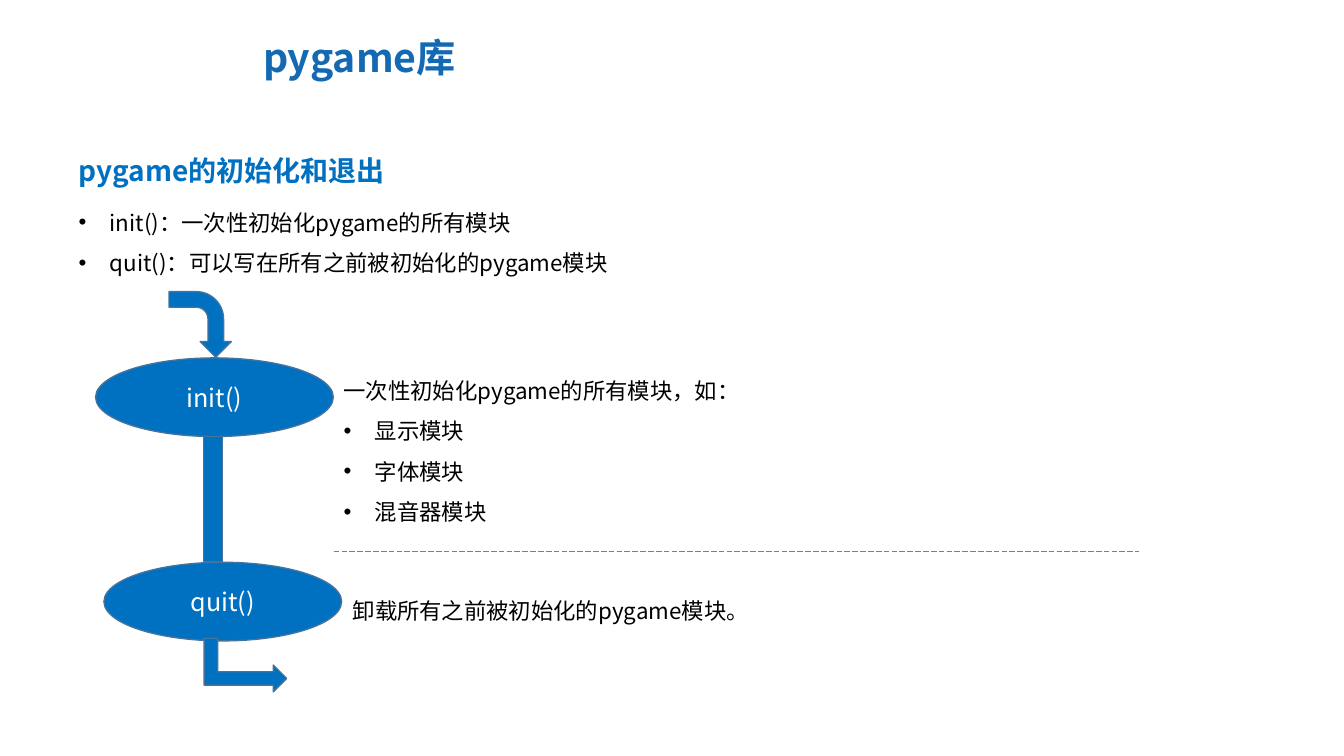
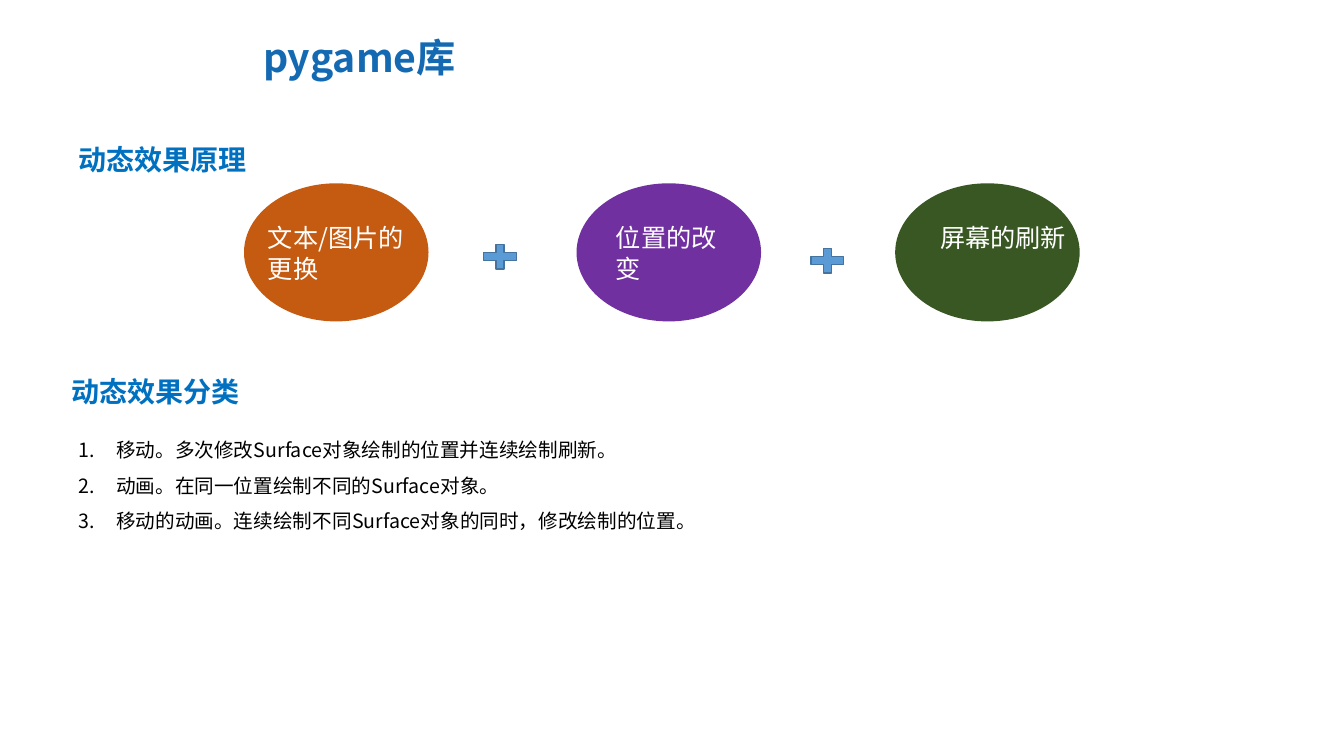
from lxml.etree import SubElement
from pptx import Presentation
from pptx.dml.color import RGBColor
from pptx.enum.dml import MSO_LINE
from pptx.enum.lang import MSO_LANGUAGE_ID
from pptx.enum.shapes import MSO_CONNECTOR, MSO_SHAPE
from pptx.enum.text import MSO_ANCHOR, MSO_AUTO_SIZE, PP_ALIGN
from pptx.oxml.ns import qn
from pptx.util import Cm, Pt

FONT = "Noto Sans CJK SC"
TITLE_BLUE = RGBColor(0x13, 0x69, 0xB2)
BLUE = RGBColor(0x00, 0x70, 0xC0)
PALE_BLUE = RGBColor(0x5B, 0x9B, 0xD5)
EDGE = RGBColor(0x43, 0x73, 0x9E)
GREY = RGBColor(0x7F, 0x7F, 0x7F)
ORANGE = RGBColor(0xC5, 0x5A, 0x11)
PURPLE = RGBColor(0x70, 0x30, 0xA0)
GREEN = RGBColor(0x38, 0x57, 0x23)
BLACK = RGBColor(0, 0, 0)
WHITE = RGBColor(255, 255, 255)


class Deck:
    """Slides in one style, with a method for each kind of element."""

    STYLES = {
        "title": {"size": 28, "bold": True, "color": TITLE_BLUE, "spacing": 0.9},
        "heading": {"size": 20, "bold": True, "color": BLUE, "spacing": 1.5},
        "body": {"size": 16, "color": BLACK, "spacing": 1.5},
        "list": {"size": 14, "color": BLACK, "spacing": 1.5},
        "label": {"size": 18, "color": WHITE, "spacing": 1.0},
    }
    MARKERS = {
        "bullet": (0.79, "a:buChar", {"char": "•"}),
        "number": (0.95, "a:buAutoNum", {"type": "arabicPeriod"}),
    }

    def __init__(self):
        self.prs = Presentation()
        self.prs.slide_width, self.prs.slide_height = Cm(33.87), Cm(19.05)
        self.s = None

    def slide(self, title):
        self.s = self.prs.slides.add_slide(self.prs.slide_layouts[5])
        sp = self.s.shapes.title
        place = {"left": 6.15, "top": 0.43, "width": 17.48, "height": 2.16}
        for name, value in place.items():
            setattr(sp, name, Cm(value))
        tf = sp.text_frame
        tf.auto_size = MSO_AUTO_SIZE.NONE
        tf.margin_left = Cm(0.48)
        self.fill_text(tf, [title], "title", anchor=MSO_ANCHOR.MIDDLE)

    def fill_text(self, tf, lines, style, align=PP_ALIGN.LEFT, anchor=MSO_ANCHOR.TOP):
        tf.word_wrap = True
        tf.vertical_anchor = anchor
        look = self.STYLES[style]
        for i, line in enumerate(lines):
            text, marker = line if isinstance(line, tuple) else (line, None)
            p = tf.add_paragraph() if i else tf.paragraphs[0]
            p.alignment, p.line_spacing = align, look["spacing"]
            r = p.add_run()
            r.text = text
            font = {"name": FONT, "size": Pt(look["size"]), "bold": look.get("bold", False),
                    "language_id": MSO_LANGUAGE_ID.SIMPLIFIED_CHINESE}
            for name, value in font.items():
                setattr(r.font, name, value)
            r.font.color.rgb = look["color"]
            SubElement(r.font._element, qn("a:ea"), typeface=FONT)
            if marker:
                self.mark(p, marker)

    def mark(self, p, marker):
        indent, tag, attrs = self.MARKERS[marker]
        pPr = p._p.get_or_add_pPr()
        pPr.set("marL", str(Cm(indent)))
        pPr.set("indent", str(-Cm(indent)))
        SubElement(pPr, qn("a:buFont"), typeface="Arial")
        SubElement(pPr, qn(tag), **attrs)

    def text(self, box, lines, style="body"):
        sp = self.s.shapes.add_textbox(*map(Cm, box))
        self.fill_text(sp.text_frame, lines, style)

    def shape(self, kind, box, fill=BLUE, edge=EDGE, label=None, rotation=0):
        sp = self.s.shapes.add_shape(kind, *map(Cm, box))
        sp.shadow.inherit = False
        sp.rotation = rotation
        sp.fill.solid()
        sp.fill.fore_color.rgb = fill
        if edge is None:
            sp.line.fill.background()
        else:
            sp.line.color.rgb, sp.line.width = edge, Pt(1)
        if label:
            self.fill_text(sp.text_frame, [label], "label", PP_ALIGN.CENTER, MSO_ANCHOR.MIDDLE)

    def divider(self, left, right, y):
        ln = self.s.shapes.add_connector(MSO_CONNECTOR.STRAIGHT, *map(Cm, (left, y, right, y)))
        look = {"width": Pt(0.5), "dash_style": MSO_LINE.LONG_DASH}
        for name, value in look.items():
            setattr(ln.line, name, value)
        ln.line.color.rgb = GREY
        SubElement(ln._element.spPr, qn("a:effectLst"))


def lifecycle_slide(deck):
    deck.slide("pygame库")
    deck.text((1.73, 3.33, 18.42, 1.55), ["pygame的初始化和退出"], "heading")
    deck.text((1.73, 4.8, 30.4, 2.31), [
        ("init()：一次性初始化pygame的所有模块", "bullet"),
        ("quit()：可以写在所有之前被初始化的pygame模块", "bullet"),
    ])
    deck.shape(MSO_SHAPE.BENT_ARROW, (4.22, 7.39, 1.65, 1.57), rotation=90)
    for label, left, top in (("init()", 2.41, 9.02), ("quit()", 2.62, 14.17)):
        deck.shape(MSO_SHAPE.OVAL, (left, top, 5.99, 1.98), label=label)
    deck.shape(MSO_SHAPE.FLOWCHART_PROCESS, (5.13, 11, 0.48, 3.15))
    deck.shape(MSO_SHAPE.BENT_UP_ARROW, (5.51, 15.72, 1.35, 2.08), rotation=90)
    modules = [(name, "bullet") for name in ("显示模块", "字体模块", "混音器模块")]
    deck.text((8.41, 9.04, 21.18, 4.37), ["一次性初始化pygame的所有模块，如：", *modules])
    deck.text((8.64, 14.58, 14.38, 1.27), ["卸载所有之前被初始化的pygame模块。"])
    deck.divider(8.41, 28.7, 13.89)


def animation_slide(deck):
    deck.slide("pygame库")
    deck.text((1.73, 3.05, 13.18, 1.55), ["动态效果原理"], "heading")
    deck.text((1.55, 8.89, 15.77, 1.55), ["动态效果分类"], "heading")
    factors = (
        ("文本/图片的更换", ORANGE, 6.15, 6.5, 4.32),
        ("位置的改变", PURPLE, 14.53, 15.27, 3.45),
        ("屏幕的刷新", GREEN, 22.56, 23.44, 3.78),
    )
    for label, color, left, label_left, label_width in factors:
        deck.shape(MSO_SHAPE.OVAL, (left, 4.62, 4.65, 3.48), color, edge=None)
        deck.text((label_left, 5.49, label_width, 1.8), [label], "label")
    for left, top in ((12.04, 6.05), (20.29, 6.15)):
        deck.shape(MSO_SHAPE.MATH_PLUS, (left, top, 1.12, 0.84), PALE_BLUE)
    kinds = (
        "移动。多次修改Surface对象绘制的位置并连续绘制刷新。",
        "动画。在同一位置绘制不同的Surface对象。",
        "移动的动画。连续绘制不同Surface对象的同时，修改绘制的位置。",
    )
    deck.text((1.73, 10.62, 30.4, 2.95), [(kind, "number") for kind in kinds], "list")


def main():
    deck = Deck()
    lifecycle_slide(deck)
    animation_slide(deck)
    deck.prs.save("out.pptx")


if __name__ == "__main__":
    main()
